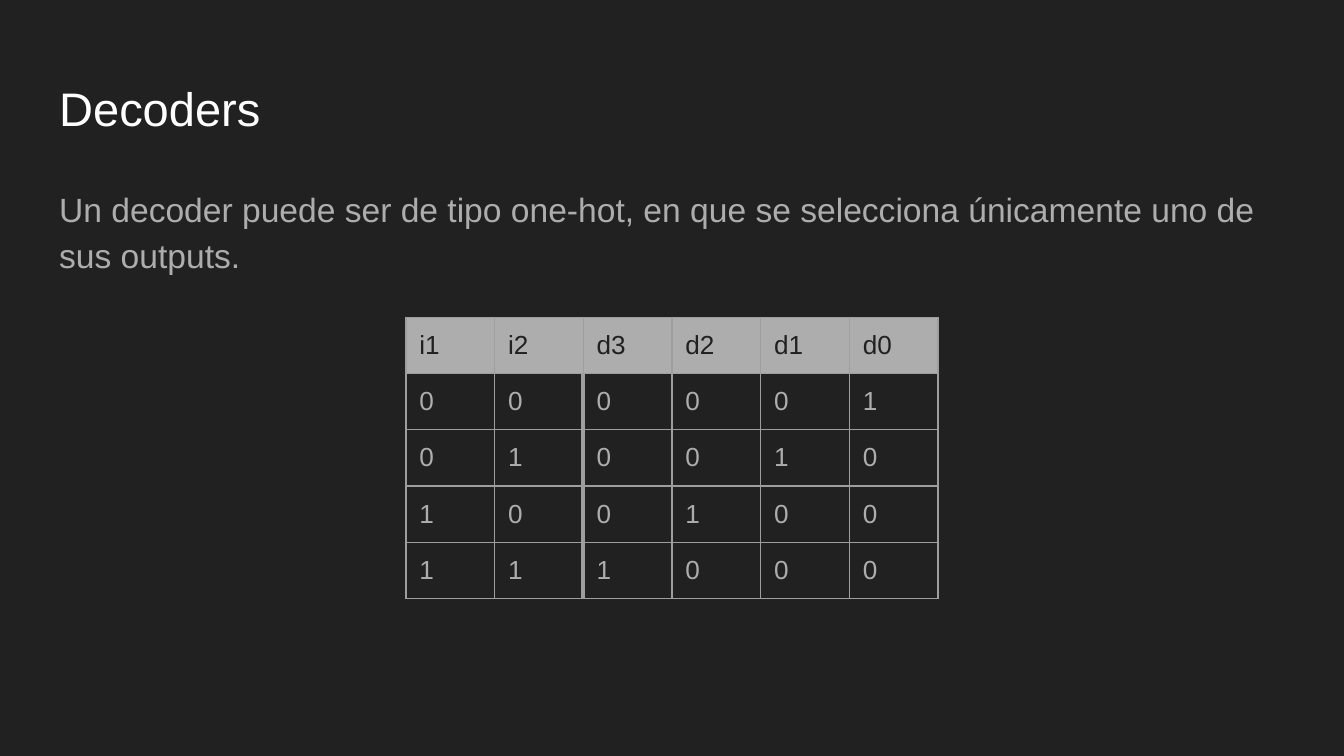
import pptx
import pptx.dml.color
import pptx.enum.text
import pptx.oxml.ns
import pptx.util
from lxml import etree

Inches = pptx.util.Inches
Pt = pptx.util.Pt
RGBColor = pptx.dml.color.RGBColor
ANCHOR = pptx.enum.text.MSO_ANCHOR
qn = pptx.oxml.ns.qn

DARK = RGBColor(0x21, 0x21, 0x21)
WHITE = RGBColor(0xFF, 0xFF, 0xFF)
LIGHT_GRAY = RGBColor(0xAD, 0xAD, 0xAD)
BORDER_GRAY = RGBColor(0x9E, 0x9E, 0x9E)

FONT = "Arial"
SLIDE_WIDTH = Inches(10)
SLIDE_HEIGHT = SLIDE_WIDTH * 9 // 16
INSET = Inches(0.1)
THIN, THICK = 0.75, 2.25
COLUMN_WIDTH, ROW_HEIGHT = 0.66, 0.31

TRUTH_TABLE = [
    ["i1", "i2", "d3", "d2", "d1", "d0"],
    list("000001"),
    list("010010"),
    list("100100"),
    list("111000"),
]
LAST_INPUT = 1  # column after which the outputs begin


def set_attributes(target, values):
    for name, value in values.items():
        setattr(target, name, value)


def format_font(font, size, color):
    set_attributes(font, {"name": FONT, "size": Pt(size), "bold": False})
    font.color.rgb = color


def fill_placeholder(placeholder, text, box, size, color, spacing):
    """Move a placeholder to box and give it one unbulleted paragraph."""
    sides = ("left", "top", "width", "height")
    set_attributes(placeholder, dict(zip(sides, map(Inches, box))))
    frame = placeholder.text_frame
    frame.text = text
    set_attributes(frame, {
        "margin_left": INSET, "margin_top": INSET,
        "margin_right": INSET, "margin_bottom": INSET,
        "word_wrap": True, "vertical_anchor": ANCHOR.TOP,
        "auto_size": pptx.enum.text.MSO_AUTO_SIZE.NONE,
    })
    paragraph = frame.paragraphs[0]
    set_attributes(paragraph, {
        "alignment": pptx.enum.text.PP_ALIGN.LEFT, "space_before": Pt(0), **spacing,
    })
    properties = paragraph._p.get_or_add_pPr()
    properties.set("marL", "0")
    properties.set("indent", "0")
    etree.SubElement(properties, qn("a:buNone"))
    format_font(paragraph.runs[0].font, size, color)


def add_border(cell, side, width):
    """Draw one cell side, named L, R, T or B."""
    line = etree.SubElement(cell._tc.get_or_add_tcPr(), qn(f"a:ln{side}"), w=str(Pt(width)))
    fill = etree.SubElement(line, qn("a:solidFill"))
    etree.SubElement(fill, qn("a:srgbClr"), val=str(BORDER_GRAY))


def format_cell(cell, text, is_header, border_widths):
    cell.text = text
    set_attributes(cell, {
        "margin_left": INSET, "margin_top": INSET,
        "margin_right": INSET, "margin_bottom": INSET,
    })
    for side, width in border_widths.items():
        add_border(cell, side, width)
    if is_header:
        cell.fill.solid()
        cell.fill.fore_color.rgb = LIGHT_GRAY
    else:
        cell.fill.background()
    run = cell.text_frame.paragraphs[0].runs[0]
    format_font(run.font, 14, DARK if is_header else LIGHT_GRAY)


def add_truth_table(slide, left, top):
    row_count, column_count = len(TRUTH_TABLE), len(TRUTH_TABLE[0])
    table = slide.shapes.add_table(
        row_count, column_count, Inches(left), Inches(top),
        Inches(COLUMN_WIDTH * column_count), Inches(ROW_HEIGHT * row_count),
    ).table
    set_attributes(table, {"first_row": False, "horz_banding": False})
    for row, values in enumerate(TRUTH_TABLE):
        for column, value in enumerate(values):
            is_header = row == 0
            widths = dict.fromkeys("LRTB", THIN)
            if not is_header and column == LAST_INPUT:
                widths["R"] = THICK
            elif not is_header and column == LAST_INPUT + 1:
                widths["L"] = THICK
            format_cell(table.cell(row, column), value, is_header, widths)


def main():
    presentation = pptx.Presentation()
    set_attributes(presentation, {"slide_width": SLIDE_WIDTH, "slide_height": SLIDE_HEIGHT})
    slide = presentation.slides.add_slide(presentation.slide_layouts[1])
    slide.background.fill.solid()
    slide.background.fill.fore_color.rgb = DARK

    fill_placeholder(
        slide.shapes.title, "Decoders", (0.34, 0.49, 9.32, 0.63), 25.2, WHITE, {},
    )
    fill_placeholder(
        slide.placeholders[1],
        "Un decoder puede ser de tipo one-hot, en que se selecciona únicamente uno de sus outputs.",
        (0.34, 1.26, 9.32, 3.74), 18, LIGHT_GRAY,
        {"line_spacing": 1.15, "space_after": Pt(12)},
    )
    add_truth_table(slide, 3.02, 2.36)
    presentation.save("out.pptx")


if __name__ == "__main__":
    main()
